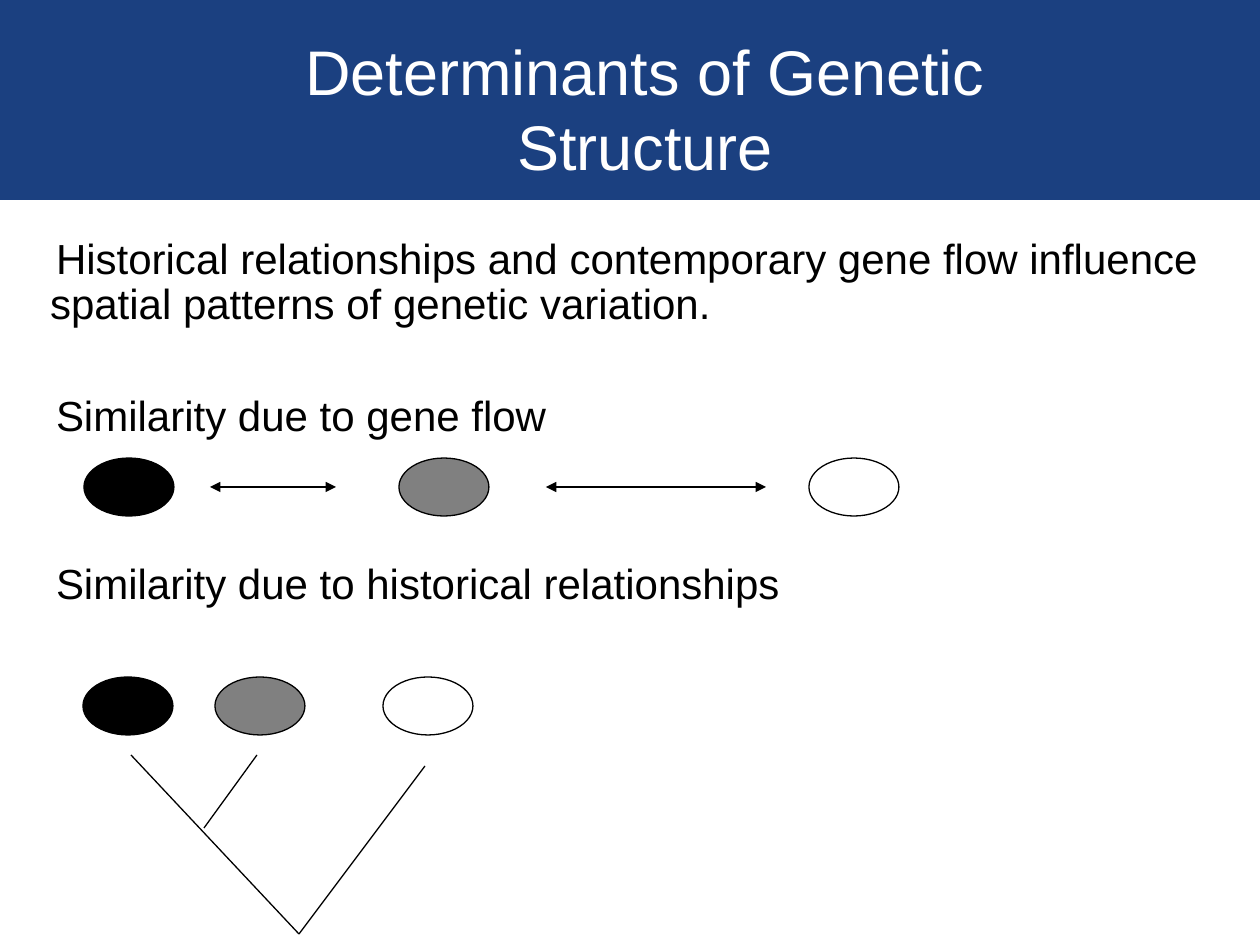
from pptx import Presentation
from pptx.dml.color import RGBColor
from pptx.enum.shapes import MSO_CONNECTOR, MSO_SHAPE
from pptx.enum.text import MSO_ANCHOR, PP_ALIGN
from pptx.oxml.ns import qn
from pptx.util import Pt
from lxml.etree import SubElement

SCALE = 914400 / 126
COLORS = {"band": "1B4080", "black": "000000", "gray": "808080", "white": "FFFFFF"}
OVAL_W, OVAL_H = 90, 58


def px(n):
    """Turn pixels into EMU."""
    return round(n * SCALE)


def rgb(name):
    """Look up a named colour."""
    return RGBColor.from_string(COLORS[name])


def add_text(p, text, size=24, color="black", align=PP_ALIGN.LEFT, before=0, spacing=1.0):
    """Write one formatted paragraph."""
    p.alignment = align
    p.space_before = Pt(before)
    p.line_spacing = spacing
    r = p.add_run()
    r.text = text
    r.font.name = "Arial"
    r.font.size = Pt(size)
    r.font.color.rgb = rgb(color)


def add_filled(shapes, kind, box, fill, line=None):
    """Add a preset shape with a plain fill and an optional outline."""
    sp = shapes.add_shape(kind, *map(px, box))
    sp.shadow.inherit = False
    sp.fill.solid()
    sp.fill.fore_color.rgb = rgb(fill)
    if line:
        sp.line.color.rgb = rgb(line)
        sp.line.width = Pt(0.75)
    else:
        sp.line.fill.background()
    return sp


def add_line(shapes, start, end, arrows=False):
    """Add a thin black line, with arrowheads at both ends if asked."""
    cxn = shapes.add_connector(MSO_CONNECTOR.STRAIGHT, *map(px, (*start, *end)))
    cxn.line.color.rgb = rgb("black")
    cxn.line.width = Pt(0.75)
    if arrows:
        ln = cxn.line._get_or_add_ln()
        for tag in ("a:headEnd", "a:tailEnd"):
            SubElement(ln, qn(tag), type="triangle")
    SubElement(cxn._element.spPr, qn("a:effectLst"))


def add_header(s, x, y, w, h):
    """Place the title on a coloured band."""
    band = add_filled(s.shapes, MSO_SHAPE.RECTANGLE, (x, y, w, h), "band")
    s.shapes._spTree.insert(2, band._element)
    title = s.shapes.title
    title.left, title.top, title.width, title.height = map(px, (x + 174, y + 26, 942, 163))
    tf = title.text_frame
    tf.word_wrap = True
    tf.vertical_anchor = MSO_ANCHOR.TOP
    add_text(tf.paragraphs[0], "Determinants of Genetic Structure",
             size=36, color="white", align=PP_ALIGN.CENTER)


def add_body(s, x, y, w, h):
    """Place the statement and the headings of the two diagrams."""
    tf = s.shapes.add_textbox(*map(px, (x, y, w, h))).text_frame
    tf.word_wrap = True
    tf.margin_left = tf.margin_right = tf.margin_top = tf.margin_bottom = 0
    lines = [
        ("Historical relationships and contemporary gene flow influence "
         "spatial patterns of genetic variation.", 0),
        ("Similarity due to gene flow", 38),
        ("Similarity due to historical relationships", 70),
    ]
    for i, (text, before) in enumerate(lines):
        p = tf.paragraphs[0] if i == 0 else tf.add_paragraph()
        pPr = p._p.get_or_add_pPr()
        pPr.set("marL", str(px(8)))
        pPr.set("indent", str(px(6)))
        add_text(p, text, before=before, spacing=0.9)


def add_populations(s, x, y, offsets):
    """Place a row of black, gray and white populations."""
    for dx, fill in zip(offsets, ("black", "gray", "white")):
        add_filled(s.shapes, MSO_SHAPE.OVAL, (x + dx, y, OVAL_W, OVAL_H), fill, "black")


def add_gene_flow(s, x, y):
    """Place populations linked by two-way arrows."""
    mid = y + OVAL_H // 2
    for start, end in ((126, 252), (462, 682)):
        add_line(s.shapes, (x + start, mid), (x + end, mid), arrows=True)
    add_populations(s, x, y, (0, 315, 725))


def add_history(s, x, y):
    """Place populations above their tree of descent."""
    tree = s.shapes.add_group_shape().shapes
    root = (x + 216, y + 257)
    add_line(tree, (x + 48, y + 78), root)
    add_line(tree, root, (x + 342, y + 89))
    add_line(tree, (x + 121, y + 151), (x + 174, y + 78))
    add_populations(s, x, y, (0, 132, 300))


def main():
    """Build and save the slide."""
    prs = Presentation()
    prs.slide_width, prs.slide_height = px(1260), px(945)
    s = prs.slides.add_slide(prs.slide_layouts[5])
    add_header(s, 0, 0, 1260, 200)
    add_body(s, 42, 238, 1177, 622)
    add_gene_flow(s, 84, 458)
    add_history(s, 83, 677)
    prs.save("out.pptx")


if __name__ == "__main__":
    main()
